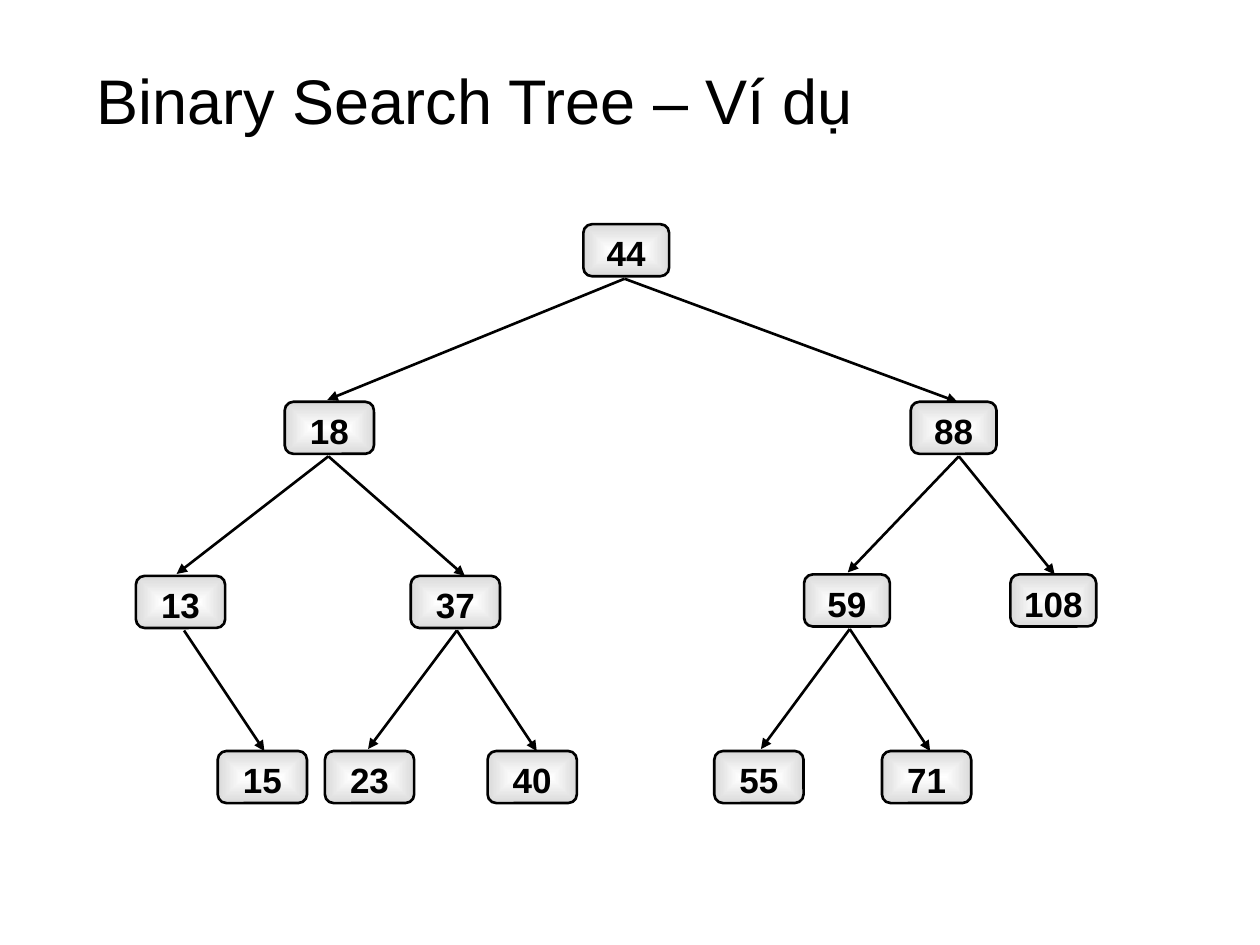
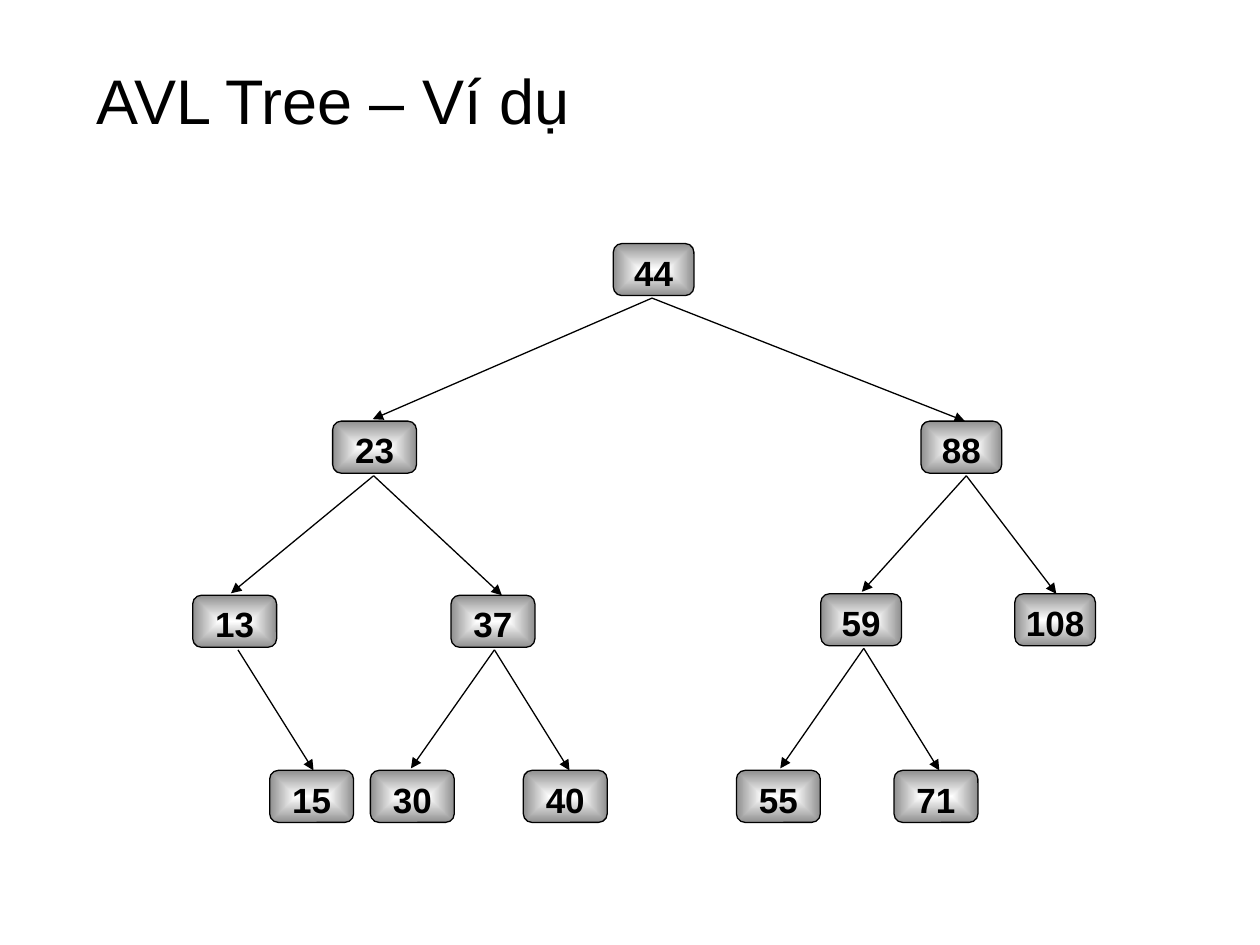
from dataclasses import dataclass

from lxml.etree import SubElement
from pptx import Presentation
from pptx.dml.color import RGBColor
from pptx.enum.shapes import MSO_CONNECTOR, MSO_SHAPE
from pptx.enum.text import MSO_ANCHOR, PP_ALIGN
from pptx.oxml import parse_xml
from pptx.oxml.ns import nsdecls, qn
from pptx.util import Cm, Pt


@dataclass(frozen=True)
class Theme:
    font: str = "Arial"
    ink: RGBColor = RGBColor(0, 0, 0)
    glow: str = "FFFFFF"
    title_size: Pt = Pt(36)
    key_size: Pt = Pt(20)
    key_spacing: float = 1.13


@dataclass(frozen=True)
class Node:
    """A tree node in centimetres: arrows arrive and leave at their own x."""
    parent: str
    left: float
    top: float
    width: float
    arrive: float = 0
    leave: float = 0


@dataclass(frozen=True)
class TreeStyle:
    """Horizontal scale, shift of the tree, and the look of its parts."""
    scale: float
    shift_x: float
    shift_y: float
    edge: str
    line: Pt

    def x(self, value):
        return Cm(value * self.scale + self.shift_x)

    def y(self, value):
        return Cm(value + self.shift_y)


THEME = Theme()
NODE_HEIGHT = 1.05
LEAVE_DROP = 1.1      # from a node's top to the start of its arrows
LEFT_TIP_GAP = 0.04   # arrows to a left child stop just above it
NARROW, WIDE = 1.73, 1.8
LEVELS = (4.52, 8.1, 11.61, 15.14)

# Places in the tree, named by path from the root (L = left, R = right)
NODES = {
    "root": Node("", 11.76, LEVELS[0], NARROW, leave=12.59),
    "L": Node("root", 5.74, LEVELS[1], WIDE, 6.6, 6.62),
    "R": Node("root", 18.36, LEVELS[1], NARROW, 19.3, 19.33),
    "LL": Node("L", 2.74, LEVELS[2], WIDE, 3.56, 3.71),
    "LR": Node("L", 8.28, LEVELS[2], WIDE, 9.37, 9.21),
    "RL": Node("R", 16.21, LEVELS[2] - 0.03, NARROW, 17.09, 17.13),
    "RR": Node("R", 20.37, LEVELS[2] - 0.03, NARROW, 21.26),
    "LLR": Node("LL", 4.39, LEVELS[3], WIDE, 5.33),
    "LRL": Node("LR", 6.55, LEVELS[3], WIDE, 7.42),
    "LRR": Node("LR", 9.83, LEVELS[3], WIDE, 10.82),
    "RLL": Node("RL", 14.4, LEVELS[3], WIDE, 15.34),
    "RLR": Node("RL", 17.78, LEVELS[3], WIDE, 18.75),
}


def add_span(para, text, size, bold=False):
    span = para.add_run()
    span.text = text
    span.font.name = THEME.font
    span.font.size = size
    span.font.bold = bold
    span.font.color.rgb = THEME.ink


def add_title(page, text):
    title = page.shapes.title
    title.left, title.top = Cm(1.7), Cm(0.64)
    title.width, title.height = Cm(22.66), Cm(2.74)
    title.text_frame.vertical_anchor = MSO_ANCHOR.MIDDLE
    para = title.text_frame.paragraphs[0]
    para.alignment = PP_ALIGN.LEFT
    add_span(para, text, THEME.title_size)


def fill_from_centre(box, edge):
    """Shade the box from a light centre to a darker edge."""
    gradient = parse_xml(
        f'<a:gradFill {nsdecls("a")} rotWithShape="1"><a:gsLst>'
        f'<a:gs pos="0"><a:srgbClr val="{THEME.glow}"/></a:gs>'
        f'<a:gs pos="100000"><a:srgbClr val="{edge}"/></a:gs></a:gsLst>'
        '<a:path path="shape"><a:fillToRect l="50000" t="50000" r="50000" b="50000"/>'
        '</a:path></a:gradFill>')
    box._element.spPr.find(qn("a:prstGeom")).addnext(gradient)


def add_node(group, node, key, style):
    box = group.shapes.add_shape(
        MSO_SHAPE.ROUNDED_RECTANGLE, style.x(node.left), style.y(node.top),
        Cm(node.width * style.scale), Cm(NODE_HEIGHT))
    box.name = f"Node {key}"
    box.shadow.inherit = False
    fill_from_centre(box, style.edge)
    box.line.color.rgb = THEME.ink
    box.line.width = style.line
    frame = box.text_frame
    frame.margin_left = frame.margin_right = frame.margin_top = frame.margin_bottom = 0
    frame.vertical_anchor = MSO_ANCHOR.MIDDLE
    para = frame.paragraphs[0]
    para.alignment = PP_ALIGN.CENTER
    para.line_spacing = THEME.key_spacing
    add_span(para, key, THEME.key_size, bold=True)


def add_arrow(group, parent, child, style):
    gap = LEFT_TIP_GAP if child.left < parent.left else 0
    arrow = group.shapes.add_connector(
        MSO_CONNECTOR.STRAIGHT,
        style.x(parent.leave), style.y(parent.top + LEAVE_DROP),
        style.x(child.arrive), style.y(child.top - gap))
    arrow.line.color.rgb = THEME.ink
    arrow.line.width = style.line
    SubElement(arrow.line._get_or_add_ln(), qn("a:tailEnd"), type="triangle")
    SubElement(arrow._element.spPr, qn("a:effectLst"))


def add_tree_page(deck, title, keys, style):
    page = deck.slides.add_slide(deck.slide_layouts[5])
    add_title(page, title)
    tree = page.shapes.add_group_shape()
    # Arrows lie behind the nodes
    for node in NODES.values():
        if node.parent:
            add_arrow(tree, NODES[node.parent], node, style)
    for node, key in zip(NODES.values(), keys):
        add_node(tree, node, key, style)


def main():
    deck = Presentation()
    deck.slide_width, deck.slide_height = Cm(25.4), Cm(19.05)

    # Keys run level by level, left to right
    add_tree_page(
        deck, "Binary Search Tree – Ví dụ",
        "44 18 88 13 37 59 108 15 23 40 55 71".split(),
        TreeStyle(1, 0, 0, "DADADA", Pt(1.5)))
    add_tree_page(
        deck, "AVL Tree – Ví dụ",
        "44 23 88 13 37 59 108 15 30 40 55 71".split(),
        TreeStyle(0.94, 1.31, 0.39, "8F8F8F", Pt(0.75)))

    deck.save("out.pptx")


if __name__ == "__main__":
    main()
